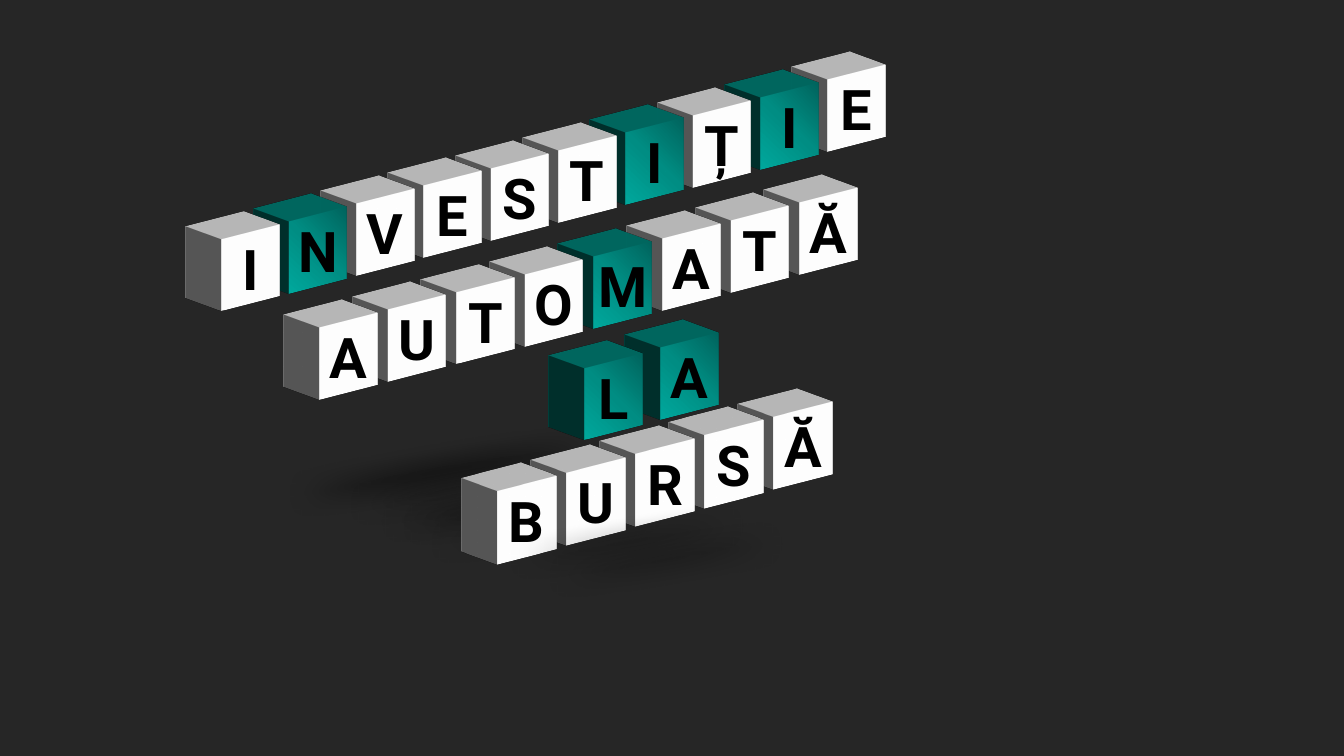
import pptx
import pptx.dml.color
import pptx.enum.shapes
import pptx.enum.text
import pptx.oxml
import pptx.oxml.ns
import pptx.util

RGBColor = pptx.dml.color.RGBColor
Inches = pptx.util.Inches

BACKGROUND = RGBColor(0x26, 0x26, 0x26)
BLACK = RGBColor(0x00, 0x00, 0x00)
WHITE = RGBColor(0xFF, 0xFF, 0xFF)
TEAL_DARK = RGBColor(0x00, 0x65, 0x5E)
TEAL_MIDDLE = RGBColor(0x00, 0x8F, 0x85)
TEAL_LIGHT = RGBColor(0x00, 0xAA, 0x9E)

NAMESPACE = pptx.oxml.ns.nsdecls("a")
CUBE_DEPTH = Inches(0.55)
LATITUDE = 18 * 60000
LONGITUDE = 320 * 60000

BACK_SHADOWS = [(1.7, 4.36, 0.61), (2.42, 4.76, 0.55), (2.7, 4.94, 0.55)]
MIDDLE_SHADOWS = [(1.9, 4.56, 0.55), (2.21, 4.73, 0.55)]
FRONT_SHADOWS = [(3.48, 5.1, 0.55), (3.87, 5.28, 0.55)]


def write_text(shape, text, size=40, font="Roboto", color=BLACK, bold=True):
    """Write one centred line of text in a shape."""
    frame = shape.text_frame
    frame.word_wrap = False
    frame.vertical_anchor = pptx.enum.text.MSO_ANCHOR.MIDDLE
    paragraph = frame.paragraphs[0]
    paragraph.alignment = pptx.enum.text.PP_ALIGN.CENTER
    run = paragraph.add_run()
    run.text = text
    run.font.size = pptx.util.Pt(size)
    run.font.name = font
    run.font.bold = bold
    run.font.color.rgb = color


class CubeSlide:
    """Draw lettered cubes and soft shadows on one slide."""

    def __init__(self, slide):
        self.slide = slide
        slide.background.fill.solid()
        slide.background.fill.fore_color.rgb = BACKGROUND

    def add_shape(self, kind, left, top, width, height, color):
        shape = self.slide.shapes.add_shape(
            kind, Inches(left), Inches(top), Inches(width), Inches(height))
        shape.shadow.inherit = False
        shape.line.fill.background()
        shape.fill.solid()
        shape.fill.fore_color.rgb = color
        return shape

    def shadow(self, left, top, height):
        shape = self.add_shape(
            pptx.enum.shapes.MSO_SHAPE.OVAL, left, top, 5.45, height, BLACK)
        shape.rotation = 351
        properties = shape.element.spPr
        properties.xfrm.set("flipH", "1")
        effects = properties.find(pptx.oxml.ns.qn("a:effectLst"))
        effects.append(pptx.oxml.parse_xml(
            f'<a:softEdge {NAMESPACE} rad="{Inches(0.23)}"/>'))

    def shadows(self, places):
        for place in places:
            self.shadow(*place)

    def teal_gradient(self, shape):
        stops = "".join(
            f'<a:gs pos="{position}"><a:srgbClr val="{color}"/></a:gs>'
            for position, color in
            [(0, TEAL_DARK), (50000, TEAL_MIDDLE), (100000, TEAL_LIGHT)])
        gradient = pptx.oxml.parse_xml(
            f'<a:gradFill {NAMESPACE} rotWithShape="1">'
            f'<a:gsLst>{stops}</a:gsLst><a:path path="circle">'
            '<a:fillToRect l="100000" b="100000"/></a:path></a:gradFill>')
        properties = shape.element.spPr
        solid = properties.find(pptx.oxml.ns.qn("a:solidFill"))
        properties.replace(solid, gradient)

    def extrude(self, shape):
        properties = shape.element.spPr
        properties.append(pptx.oxml.parse_xml(
            f'<a:scene3d {NAMESPACE}><a:camera prst="isometricOffAxis1Right">'
            f'<a:rot lat="{LATITUDE}" lon="{LONGITUDE}" rev="0"/></a:camera>'
            '<a:lightRig rig="threePt" dir="t"/></a:scene3d>'))
        properties.append(pptx.oxml.parse_xml(
            f'<a:sp3d {NAMESPACE} extrusionH="{CUBE_DEPTH}"/>'))

    def cube(self, letter, left, top, size, teal):
        shape = self.add_shape(
            pptx.enum.shapes.MSO_SHAPE.RECTANGLE, left, top, *size, WHITE)
        if teal:
            self.teal_gradient(shape)
        self.extrude(shape)
        write_text(shape, letter)

    def word(self, text, first, last, size=(0.75, 0.75), teal=()):
        for index in reversed(range(len(text))):
            share = index / (len(text) - 1)
            left, top = [start + (end - start) * share
                         for start, end in zip(first, last)]
            self.cube(text[index], left, top, size, index in teal)


def main():
    presentation = pptx.Presentation()
    presentation.slide_width = Inches(13.33)
    presentation.slide_height = Inches(7.5)
    cubes = CubeSlide(presentation.slides.add_slide(presentation.slide_layouts[6]))
    cubes.shadows(BACK_SHADOWS)
    cubes.word("AUTOMATĂ", (3.08, 3.16), (7.84, 1.92), teal=(4,))
    cubes.word("INVESTIȚIE", (2.11, 2.28), (8.12, 0.7), teal=(1, 6, 8))
    cubes.word("LA", (5.71, 3.56), (6.46, 3.36), teal=(0, 1))
    cubes.shadows(MIDDLE_SHADOWS)
    cubes.word("BURSĂ", (4.84, 4.78), (7.58, 4.04), size=(0.77, 0.76))
    cubes.shadows(FRONT_SHADOWS)
    presentation.save("out.pptx")


if __name__ == "__main__":
    main()
